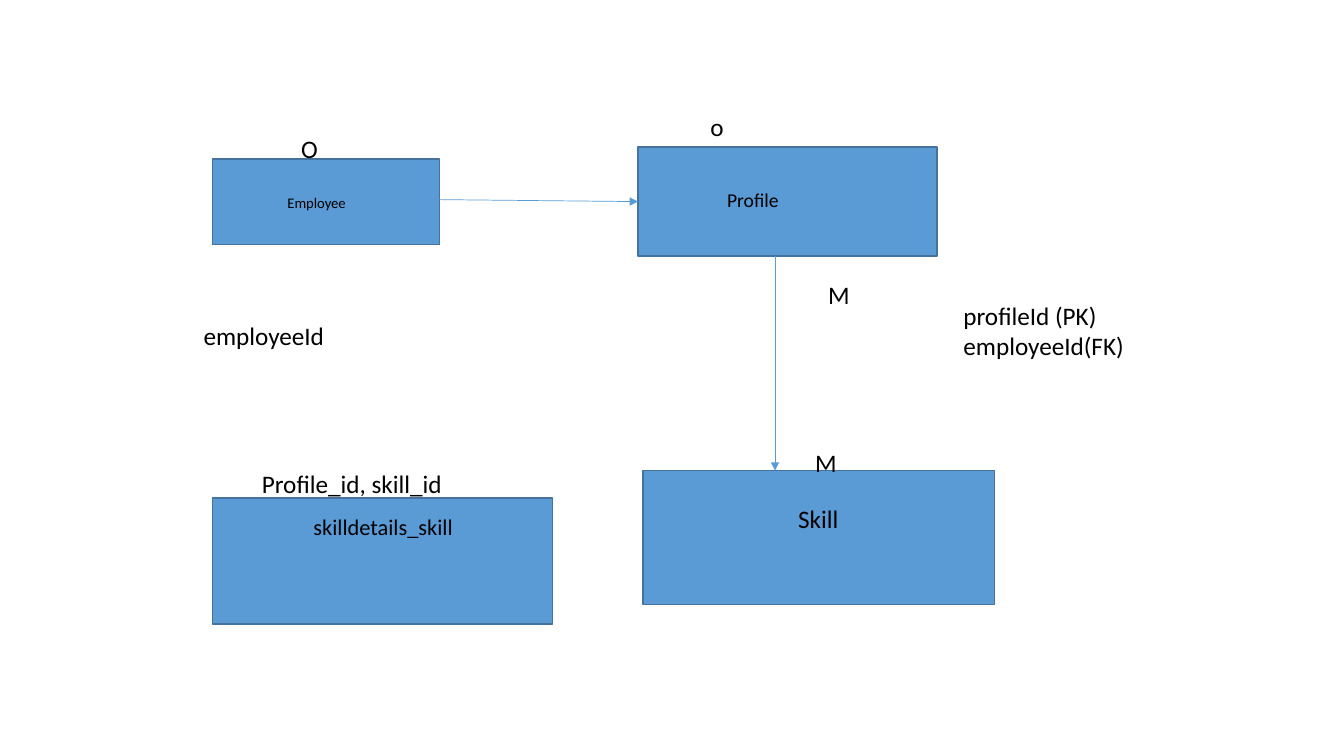
from lxml.etree import SubElement
from pptx import Presentation
from pptx.dml.color import RGBColor
from pptx.enum.shapes import MSO_CONNECTOR, MSO_SHAPE
from pptx.enum.text import MSO_AUTO_SIZE, PP_ALIGN
from pptx.oxml.ns import qn
from pptx.util import Cm, Pt

COLOURS = {"box": "5B9BD5", "border": "43739E", "arrow": "5B9BD5", "text": "000000"}

deck = Presentation()
deck.slide_width, deck.slide_height = Cm(33.87), Cm(19.05)
slide = deck.slides.add_slide(deck.slide_layouts[6])


def colour(name):
    return RGBColor.from_string(COLOURS[name])


def add_label(lines, place, size=18, align=PP_ALIGN.LEFT, wrap=False):
    frame = slide.shapes.add_textbox(*map(Cm, place)).text_frame
    frame.word_wrap = wrap
    frame.auto_size = MSO_AUTO_SIZE.SHAPE_TO_FIT_TEXT
    for number, line in enumerate(lines):
        paragraph = frame.add_paragraph() if number else frame.paragraphs[0]
        paragraph.alignment = align
        run = paragraph.add_run()
        run.text = line
        run.font.name = "Calibri"
        run.font.size = Pt(size)
        run.font.color.rgb = colour("text")


# Entities: name, box, place of the name, text size, wrapping
entities = [
    ("Employee", (5.36, 4.01, 5.72, 2.16), (6.53, 4.75, 2.9, 0.71), 10.5, True),
    ("Profile", (16.08, 3.71, 7.54, 2.74), (18.06, 4.6, 1.83, 0.86), 14, False),
    ("Skill", (16.21, 11.86, 8.86, 3.38), (17.22, 12.55, 6.81, 1.02), 18, True),
    ("skilldetails_skill", (5.36, 12.55, 8.56, 3.18), (4.6, 12.8, 10.11, 1.63), 16, True),
]
for name, box, name_place, size, wrap in entities:
    entity = slide.shapes.add_shape(MSO_SHAPE.RECTANGLE, *map(Cm, box))
    entity.shadow.inherit = False
    entity.fill.solid()
    entity.fill.fore_color.rgb = colour("box")
    entity.line.color.rgb = colour("border")
    entity.line.width = Pt(1)
    add_label([name], name_place, size, PP_ALIGN.CENTER, wrap)

# Relations: Employee to Profile, Profile to Skill
for ends in [(11.07, 5.03, 16.08, 5.08), (19.53, 6.45, 19.53, 11.86)]:
    relation = slide.shapes.add_connector(MSO_CONNECTOR.STRAIGHT, *map(Cm, ends))
    relation.line.color.rgb = colour("arrow")
    relation.line.width = Pt(0.5)
    SubElement(relation.line._get_or_add_ln(), qn("a:tailEnd"), type="triangle")
    SubElement(relation._element.spPr, qn("a:effectLst"))

# Cardinalities
for cardinality, place in [
    ("O", (7.34, 3.23, 0.94, 1.02)),
    ("o", (17.65, 2.69, 0.86, 1.02)),
    ("M", (20.62, 6.91, 1.07, 1.02)),
    ("M", (20.29, 11.15, 1.07, 1.02)),
]:
    add_label([cardinality], place)

# Keys
add_label(["employeeId"], (4.88, 7.95, 3.58, 1.02))
add_label(["profileId (PK)", "employeeId(FK)"], (24.03, 7.44, 4.6, 1.8))
add_label(["Profile_id, skill_id"], (6.35, 11.68, 5.11, 1.02))

deck.save("out.pptx")
